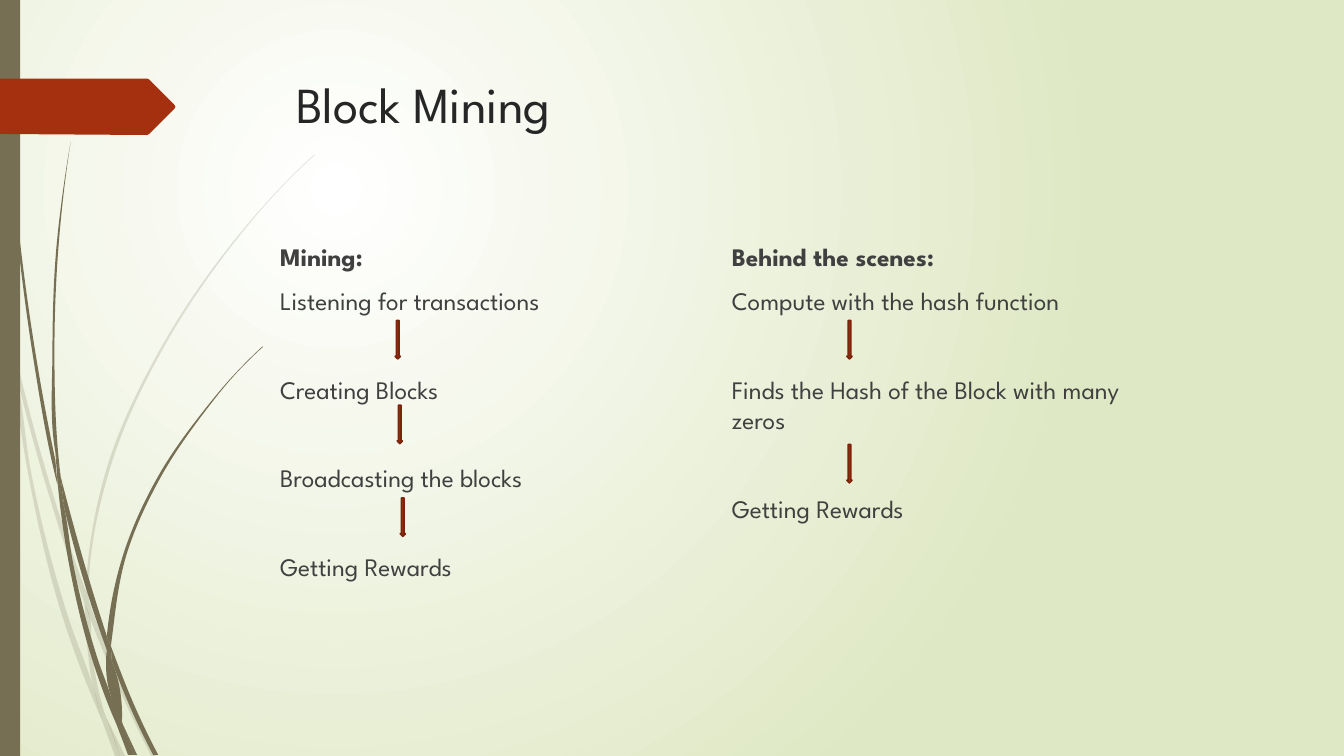
from lxml import etree
from pptx import Presentation
from pptx import util as u
from pptx.dml.color import RGBColor
from pptx.enum import shapes, text
from pptx.oxml import ns

PX = 9144  # 100 px to the inch
FONT = "League Spartan"
OLIVE, RUST, EDGE = "766F54", "A53010", "7A240C"

# Each blade of grass: points along one edge, then back along the other.
PALE = [
    ([(11, 350), (9, 322), (0, 282)], [(0, 299), (10, 344), (11, 350)]),
    ([(17, 376), (58, 522), (84, 599)], [(85, 586), (62, 520), (14, 345)]),
    ([(88, 596), (92, 607), (127, 692), (155, 750)], [(150, 750), (123, 694), (88, 610)]),
    ([(105, 711), (124, 750)], [(119, 750), (105, 711)]),
    ([(11, 350), (17, 376), (31, 469), (70, 619), (93, 683), (101, 714)],
     [(92, 693), (65, 621), (28, 470), (11, 350)]),
    ([(84, 599), (87, 646), (93, 683), (96, 692), (105, 711)],
     [(103, 706), (91, 646), (88, 608), (84, 599)]),
    ([(88, 596), (88, 584), (110, 462), (160, 349), (229, 245), (268, 198), (290, 175), (312, 154)],
     [(312, 153), (289, 175), (268, 197), (228, 244), (158, 348), (107, 461), (85, 586)]),
    ([(101, 714), (114, 750)], [(119, 750), (101, 714)]),
    ([(84, 599), (88, 610)], [(88, 596), (85, 586)]),
    ([(93, 683), (96, 692), (105, 711), (119, 750)], [(101, 714), (99, 707), (93, 683)]),
]
DARK = [
    ([(3, 0), (4, 48), (7, 110), (17, 233), (33, 355), (56, 477), (57, 481)],
     [(55, 457), (36, 355), (19, 232), (8, 109), (5, 48), (4, 0)]),
    ([(64, 505), (88, 592), (106, 645)], [(106, 631), (93, 590), (60, 472)]),
    ([(110, 641), (113, 649), (136, 706), (157, 749)], [(152, 749), (132, 708), (111, 656)]),
    ([(57, 477), (64, 505), (72, 556), (98, 657), (110, 691), (117, 722)],
     [(111, 708), (93, 659), (68, 557), (57, 477)]),
    ([(60, 472), (58, 453), (54, 349), (58, 245), (63, 193), (70, 141)],
     [(70, 141), (62, 193), (56, 245), (52, 349), (55, 449), (60, 472)]),
    ([(122, 719), (136, 749)], [(133, 749), (122, 719)]),
    ([(57, 477), (64, 505)], [(60, 472), (55, 449)]),
    ([(110, 641), (111, 633), (125, 552), (158, 476), (205, 406), (231, 374), (261, 344)],
     [(260, 344), (231, 373), (204, 405), (156, 474), (122, 551), (106, 631)]),
    ([(117, 722), (127, 749)], [(131, 749), (117, 722)]),
    ([(106, 645), (110, 691), (116, 706), (122, 719)], [(121, 716), (111, 656), (106, 645)]),
    ([(106, 645), (111, 656)], [(110, 641), (106, 631)]),
    ([(110, 691), (117, 722), (130, 749)], [(133, 749), (122, 719), (110, 691)]),
]
TAG = [(0, 78), (146, 78), (148, 79), (173, 104), (174, 106),
       (173, 108), (148, 133), (146, 134), (0, 133)]


def color(hue):
    return RGBColor.from_string(hue)


def paint(shape, fill, line=None):
    shape.shadow.inherit = False
    shape.fill.solid()
    shape.fill.fore_color.rgb = color(fill)
    if line:
        shape.line.color.rgb = color(line)
        shape.line.width = u.Pt(1.25)
    else:
        shape.line.fill.background()


def bend(nodes):
    """Turn the straight pieces between path nodes into one smooth curve."""
    ends = [node.find(ns.qn("a:pt")) for node in nodes]
    pts = [complex(int(end.get("x")), int(end.get("y"))) for end in ends]
    gaps = [b - a for a, b in zip(pts, pts[1:])]
    lens = [abs(gap) for gap in gaps]
    dirs = [gap / size for gap, size in zip(gaps, lens)]
    mids = [(dirs[i] * lens[i + 1] + dirs[i + 1] * lens[i]) / (lens[i] + lens[i + 1])
            for i in range(len(dirs) - 1)]
    if not mids:
        return
    mids = [2 * dirs[0] - mids[0], *mids, 2 * dirs[-1] - mids[-1]]
    for i, size in enumerate(lens):
        node = nodes[i + 1]
        node.tag = ns.qn("a:cubicBezTo")
        pulls = pts[i] + mids[i] * size / 3, pts[i + 1] - mids[i + 1] * size / 3
        for k, pull in enumerate(pulls):
            pt = etree.Element(ns.qn("a:pt"))
            pt.set("x", str(round(pull.real)))
            pt.set("y", str(round(pull.imag)))
            node.insert(k, pt)


def outline(slide, pts, fill):
    spots = [(x * PX, y * PX) for x, y in pts]
    form = slide.shapes.build_freeform(*spots[0], scale=1.0)
    form.add_line_segments(spots[1:], close=True)
    shape = form.convert_to_shape()
    paint(shape, fill)
    return shape


def block(slide, kind, box, fill, line=None):
    shape = slide.shapes.add_shape(kind, *(n * PX for n in box))
    paint(shape, fill, line)


def grass(slide, blades, alpha=100):
    for edge, back in blades:
        shape = outline(slide, edge + back, OLIVE)
        nodes = list(shape.element.find(".//" + ns.qn("a:moveTo")).getparent())
        cut = len(edge)
        bend(nodes[:cut])
        bend(nodes[cut:cut + len(back)])
        if alpha < 100:
            tint = shape.element.find(".//" + ns.qn("a:srgbClr"))
            etree.SubElement(tint, ns.qn("a:alpha")).set("val", str(alpha * 1000))


def backdrop(slide):
    fill = slide.background.fill
    fill.gradient()
    for stop, hue, place in zip(fill.gradient_stops, ("FFFFFF", "DFE8C4"), (0, 1)):
        stop.color.rgb = color(hue)
        stop.position = place
    grad = slide.element.find(".//" + ns.qn("a:gradFill"))
    grad.remove(grad.find(ns.qn("a:lin")))
    ring = etree.SubElement(grad, ns.qn("a:path"))
    ring.set("path", "circle")
    rect = etree.SubElement(ring, ns.qn("a:fillToRect"))
    for side, part in zip("ltrb", (50, 50, 100, 100)):
        rect.set(side, str(part * 1000))


def frame(slide, box):
    area = slide.shapes.add_textbox(*(n * PX for n in box)).text_frame
    area.word_wrap = True
    area.vertical_anchor = text.MSO_ANCHOR.TOP
    return area


def write(para, words, size, hue, bold=False):
    run = para.add_run()
    run.text = words
    run.font.name = FONT
    run.font.size = u.Pt(size)
    run.font.bold = bold
    run.font.color.rgb = color(hue)


def title(slide, box, words):
    write(frame(slide, box).paragraphs[0], words, 36, "262626")


def flow(slide, box, head, steps, arrows):
    """A heading over steps, with arrows at offsets from the box corner."""
    area = frame(slide, box)
    for i, words in enumerate([head, *steps]):
        para = area.paragraphs[0] if i == 0 else area.add_paragraph()
        para.space_before = u.Pt(10 if i < 2 else 41.8)
        write(para, words, 18, "404040", bold=i == 0)
    for x, y in arrows:
        block(slide, shapes.MSO_SHAPE.DOWN_ARROW,
              (box[0] + x, box[1] + y, 5, 38), RUST, EDGE)


def main():
    deck = Presentation()
    deck.slide_width, deck.slide_height = 1333 * PX, 750 * PX
    slide = deck.slides.add_slide(deck.slide_layouts[6])
    backdrop(slide)
    grass(slide, PALE, alpha=20)
    grass(slide, DARK)
    block(slide, shapes.MSO_SHAPE.RECTANGLE, (0, 0, 20, 750), OLIVE)
    outline(slide, TAG, RUST)
    title(slide, (284, 68, 975, 140), "Block Mining")
    flow(slide, (268, 234, 376, 413), "Mining:",
         ["Listening for transactions", "Creating Blocks",
          "Broadcasting the blocks", "Getting Rewards"],
         [(124, 84), (126, 168), (129, 260)])
    flow(slide, (716, 234, 435, 413), "Behind the scenes:",
         ["Compute with the hash function",
          "Finds the Hash of the Block with many zeros", "Getting Rewards"],
         [(124, 84), (124, 207)])
    deck.save("out.pptx")


if __name__ == "__main__":
    main()
